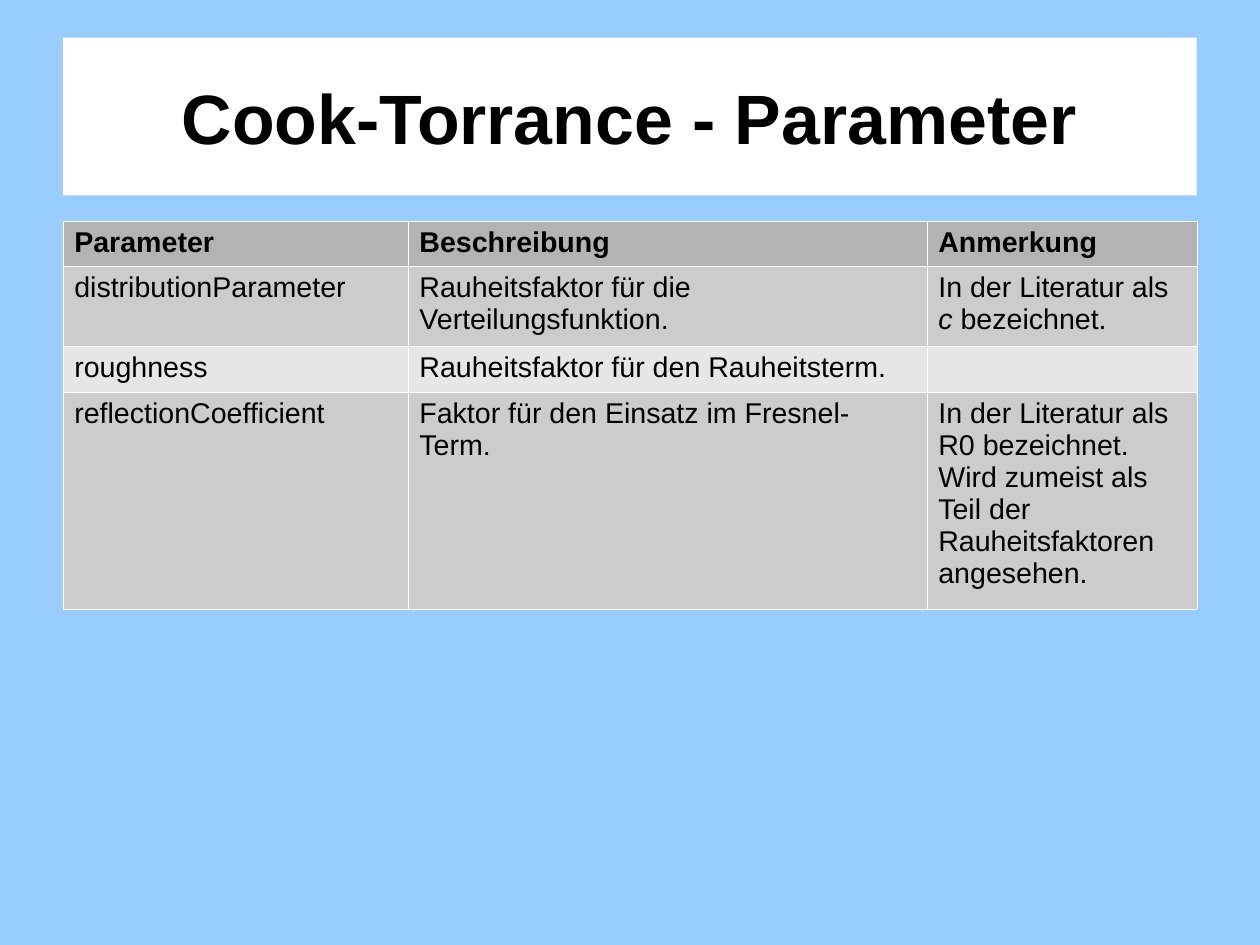
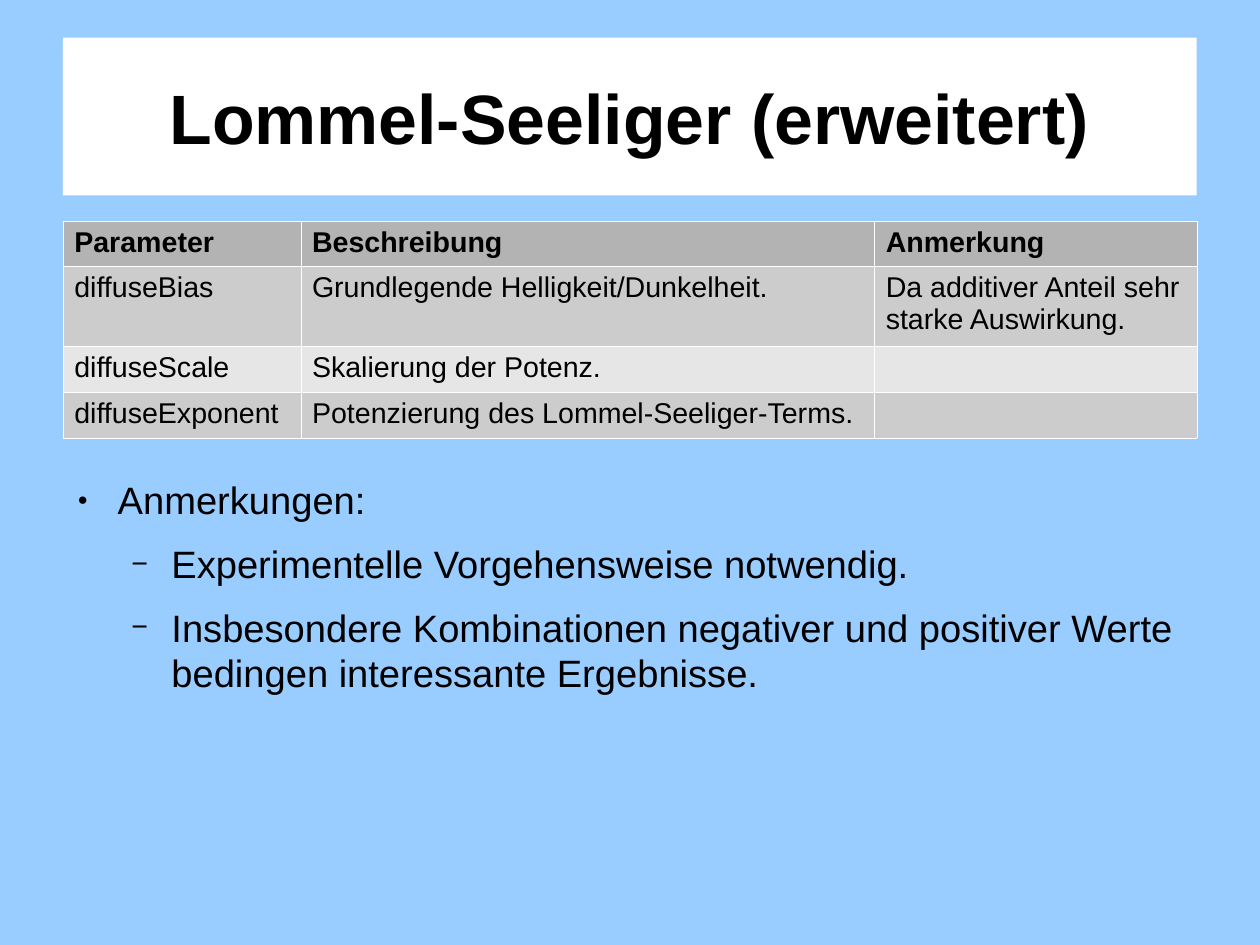
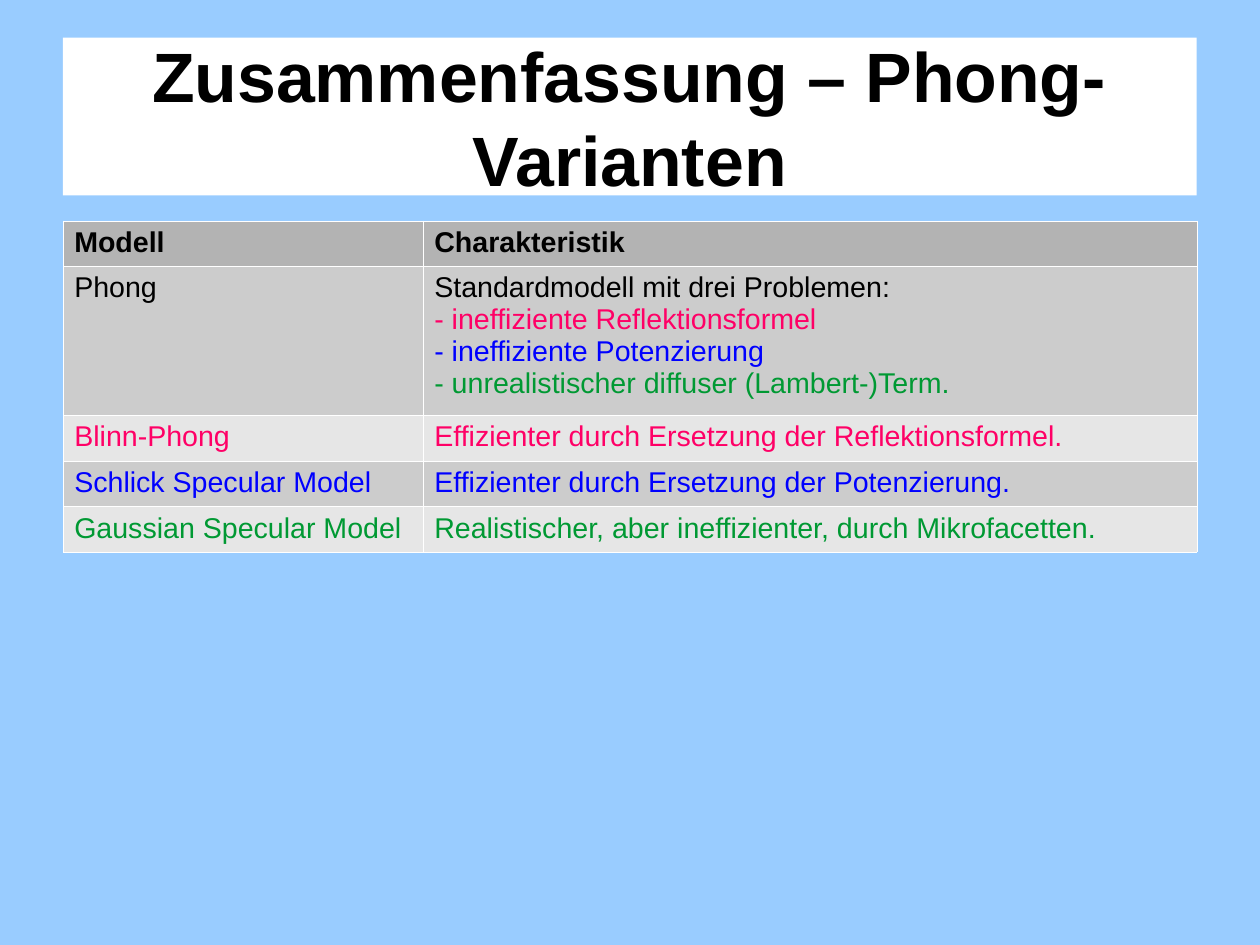
import dataclasses

import pptx
import pptx.dml.color
import pptx.enum.shapes
import pptx.enum.text
import pptx.oxml.ns
import pptx.util
from pptx.util import Inches

RGBColor = pptx.dml.color.RGBColor

SKY = RGBColor(0x99, 0xCC, 0xFF)
WHITE = RGBColor(0xFF, 0xFF, 0xFF)
BLACK = RGBColor(0x00, 0x00, 0x00)
HEADER_GRAY = RGBColor(0xB3, 0xB3, 0xB3)
ROW_GRAYS = (RGBColor(0xCC, 0xCC, 0xCC), RGBColor(0xE6, 0xE6, 0xE6))
PINK = RGBColor(0xFF, 0x00, 0x66)
BLUE = RGBColor(0x00, 0x00, 0xFF)
GREEN = RGBColor(0x00, 0x99, 0x33)


@dataclasses.dataclass
class Line:
    """One paragraph of a table cell, with an optional italic part."""
    text: str
    color: RGBColor = BLACK
    italic: str = ""


def add_element(parent, tag, **attributes):
    child = parent.makeelement(pptx.oxml.ns.qn(tag), attributes)
    parent.append(child)
    return child


class Presenter:
    FONT = "Arial"
    LEFT = 0.55
    WIDTH = 9.92
    BORDER = pptx.util.Pt(0.06)
    # Per level: bullet, its size, text indent, space before
    BULLETS = (("●", 45, 0.47, 14.1), ("−", 75, 0.94, 11.3))

    def __init__(self):
        self.deck = pptx.Presentation()
        # A 4:3 page of 28 by 21 centimetres
        self.deck.slide_width = pptx.util.Cm(28)
        self.deck.slide_height = pptx.util.Cm(21)
        background = self.deck.slide_master.background.fill
        background.solid()
        background.fore_color.rgb = SKY
        self.page = None

    def set_font(self, para, size, color=BLACK, bold=False):
        para.font.name = self.FONT
        para.font.size = pptx.util.Pt(size)
        para.font.color.rgb = color
        para.font.bold = bold

    def clear_margins(self, frame):
        frame.word_wrap = True
        frame.margin_left = frame.margin_right = 0
        frame.margin_top = frame.margin_bottom = 0

    def add_page(self, title):
        self.page = self.deck.slides.add_slide(self.deck.slide_layouts[6])
        box = self.page.shapes.add_shape(
            pptx.enum.shapes.MSO_SHAPE.RECTANGLE,
            Inches(self.LEFT), Inches(0.33), Inches(self.WIDTH), Inches(1.38))
        box.shadow.inherit = False
        box.fill.solid()
        box.fill.fore_color.rgb = WHITE
        box.line.fill.background()
        frame = box.text_frame
        self.clear_margins(frame)
        frame.vertical_anchor = pptx.enum.text.MSO_ANCHOR.MIDDLE
        para = frame.paragraphs[0]
        para.text = title
        para.alignment = pptx.enum.text.PP_ALIGN.CENTER
        self.set_font(para, 44, bold=True)

    def add_table(self, widths, heights, rows):
        frame = self.page.shapes.add_table(
            len(rows), len(widths), Inches(self.LEFT), Inches(1.93),
            Inches(self.WIDTH), Inches(sum(heights)))
        table = frame.table
        table.first_row = table.horz_banding = False
        for column, width in zip(table.columns, widths):
            column.width = Inches(width)
        for index, (row, height, contents) in enumerate(
                zip(table.rows, heights, rows)):
            row.height = Inches(height)
            header = index == 0
            color = HEADER_GRAY if header else ROW_GRAYS[(index - 1) % 2]
            for cell, content in zip(row.cells, contents):
                self.style_cell(cell, color)
                self.fill_cell(cell, content, header)

    def style_cell(self, cell, color):
        properties = cell._tc.get_or_add_tcPr()
        for side in ("a:lnL", "a:lnR", "a:lnT", "a:lnB"):
            border = add_element(properties, side, w=str(int(self.BORDER)))
            fill = add_element(border, "a:solidFill")
            add_element(fill, "a:srgbClr", val=str(WHITE))
        cell.fill.solid()
        cell.fill.fore_color.rgb = color

    def fill_cell(self, cell, content, bold):
        lines = content if isinstance(content, list) else [content]
        frame = cell.text_frame
        for index, line in enumerate(lines):
            if isinstance(line, str):
                line = Line(line)
            para = frame.add_paragraph() if index else frame.paragraphs[0]
            self.set_font(para, 18, line.color, bold)
            parts = line.text.partition(line.italic) if line.italic else [line.text]
            for part in filter(None, parts):
                span = para.add_run()
                span.text = part
                if part == line.italic:
                    span.font.italic = True

    def add_bullets(self, items):
        box = self.page.shapes.add_textbox(
            Inches(0.56), Inches(4.17), Inches(self.WIDTH), Inches(3.62))
        frame = box.text_frame
        self.clear_margins(frame)
        for index, (level, text) in enumerate(items):
            symbol, size, indent, space = self.BULLETS[level]
            para = frame.add_paragraph() if index else frame.paragraphs[0]
            para.text = text
            para.level = level
            para.space_before = pptx.util.Pt(space)
            properties = para._p.get_or_add_pPr()
            properties.set("marL", str(int(Inches(indent))))
            properties.set("indent", str(int(Inches(-0.35))))
            color = add_element(properties, "a:buClr")
            add_element(color, "a:srgbClr", val=str(BLACK))
            add_element(properties, "a:buSzPct", val=str(size * 1000))
            add_element(properties, "a:buFont", typeface=self.FONT)
            add_element(properties, "a:buChar", char=symbol)
            self.set_font(para, 24)


def main():
    show = Presenter()
    parameter_header = ["Parameter", "Beschreibung", "Anmerkung"]

    # Cook-Torrance
    show.add_page("Cook-Torrance - Parameter")
    show.add_table([3.02, 4.54, 2.36], [0.4, 0.7, 0.4, 1.9], [
        parameter_header,
        ["distributionParameter", "Rauheitsfaktor für die Verteilungsfunktion.",
         Line("In der Literatur als c bezeichnet.", italic="c")],
        ["roughness", "Rauheitsfaktor für den Rauheitsterm.", ""],
        ["reflectionCoefficient", "Faktor für den Einsatz im Fresnel-Term.",
         ["In der Literatur als R0 bezeichnet.",
          "Wird zumeist als Teil der Rauheitsfaktoren angesehen."]],
    ])

    # Lommel-Seeliger
    show.add_page("Lommel-Seeliger (erweitert)")
    show.add_table([2.08, 5.02, 2.82], [0.4, 0.7, 0.4, 0.4], [
        parameter_header,
        ["diffuseBias", "Grundlegende Helligkeit/Dunkelheit.",
         "Da additiver Anteil sehr starke Auswirkung."],
        ["diffuseScale", "Skalierung der Potenz.", ""],
        ["diffuseExponent", "Potenzierung des Lommel-Seeliger-Terms.", ""],
    ])
    show.add_bullets([
        (0, "Anmerkungen:"),
        (1, "Experimentelle Vorgehensweise notwendig."),
        (1, "Insbesondere Kombinationen negativer und positiver Werte "
            "bedingen interessante Ergebnisse."),
    ])

    # Phong variants: each problem shares its colour with the model solving it
    show.add_page("Zusammenfassung – Phong-Varianten")
    show.add_table([3.15, 6.77], [0.4, 1.3, 0.4, 0.4, 0.4], [
        ["Modell", "Charakteristik"],
        ["Phong",
         ["Standardmodell mit drei Problemen:",
          Line("- ineffiziente Reflektionsformel", PINK),
          Line("- ineffiziente Potenzierung", BLUE),
          Line("- unrealistischer diffuser (Lambert-)Term.", GREEN)]],
        [Line("Blinn-Phong", PINK),
         Line("Effizienter durch Ersetzung der Reflektionsformel.", PINK)],
        [Line("Schlick Specular Model", BLUE),
         Line("Effizienter durch Ersetzung der Potenzierung.", BLUE)],
        [Line("Gaussian Specular Model", GREEN),
         Line("Realistischer, aber ineffizienter, durch Mikrofacetten.", GREEN)],
    ])

    show.deck.save("out.pptx")


if __name__ == "__main__":
    main()
